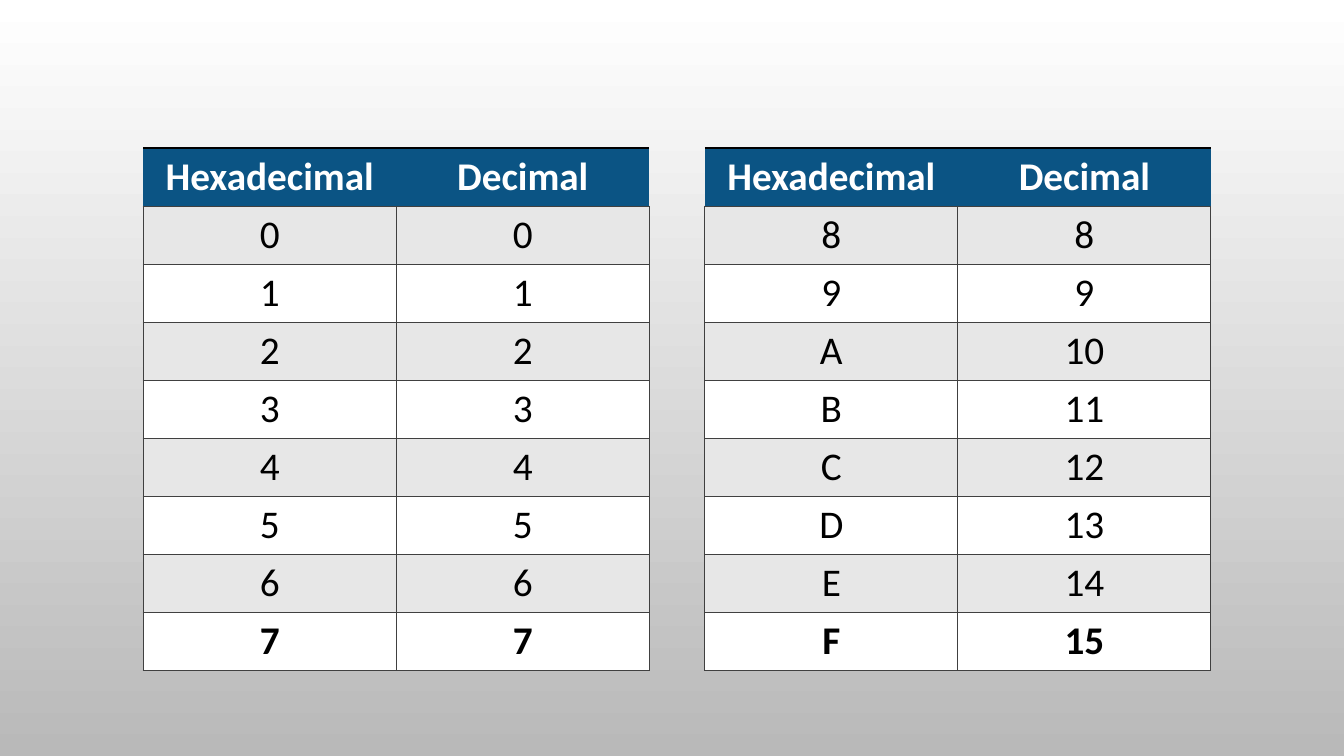
from dataclasses import dataclass

from lxml import etree
from pptx import Presentation
from pptx import util as u
from pptx.dml import color
from pptx.enum import text
from pptx.oxml import ns
from pptx.slide import Slide
from pptx.table import _Cell

COLORS = {
    "header": "0B5484",
    "header_text": "FFFFFF",
    "header_top": "000000",
    "body_text": "000000",
    "border": "404040",
    "band_odd": "E7E7E7",
    "band_even": "FFFFFF",
    "background_top": "FFFFFF",
    "background_bottom": "B9B9B9",
}
HEADINGS = ("Hexadecimal", "Decimal")
TABLE_TOP = 1.47
COLUMN_WIDTH = 2.51
ROW_HEIGHT = 0.57


@dataclass(frozen=True)
class ConversionTable:
    left: float
    values: range

    def rows(self) -> list[tuple[str, str]]:
        return [HEADINGS] + [(f"{value:X}", str(value)) for value in self.values]


@dataclass(frozen=True)
class Border:
    side: str
    color: str = "border"
    points: float = 1
    visible: bool = True


HEADER_BORDERS = (
    Border("L", visible=False),
    Border("R", visible=False),
    Border("T", "header_top", 2),
    Border("B"),
)
BODY_BORDERS = tuple(Border(side) for side in "LRTB")
TABLES = (
    ConversionTable(6.99, range(8, 16)),
    ConversionTable(1.42, range(8)),
)


def rgb(name: str) -> color.RGBColor:
    return color.RGBColor.from_string(COLORS[name])


def add_border(cell: _Cell, border: Border) -> None:
    properties = cell._tc.get_or_add_tcPr()
    line = etree.SubElement(properties, ns.qn(f"a:ln{border.side}"))
    line.set("w", str(u.Pt(border.points)))
    if border.visible:
        fill = etree.SubElement(line, ns.qn("a:solidFill"))
        etree.SubElement(fill, ns.qn("a:srgbClr")).set("val", COLORS[border.color])
    else:
        etree.SubElement(line, ns.qn("a:noFill"))


def format_cell(cell: _Cell, label: str, fill: str, font_color: str,
                bold: bool, borders: tuple[Border, ...]) -> None:
    # Borders come before the fill in the cell properties
    for border in borders:
        add_border(cell, border)
    cell.fill.solid()
    cell.fill.fore_color.rgb = rgb(fill)
    cell.vertical_anchor = text.MSO_ANCHOR.MIDDLE
    paragraph = cell.text_frame.paragraphs[0]
    paragraph.alignment = text.PP_ALIGN.CENTER
    run = paragraph.add_run()
    run.text = label
    run.font.name = "Calibri"
    run.font.size = u.Pt(28)
    run.font.bold = bold
    run.font.color.rgb = rgb(font_color)


def add_conversion_table(slide: Slide, conversion: ConversionTable) -> None:
    rows = conversion.rows()
    table = slide.shapes.add_table(
        len(rows), len(HEADINGS), u.Inches(conversion.left), u.Inches(TABLE_TOP),
        u.Inches(COLUMN_WIDTH * len(HEADINGS)), u.Inches(ROW_HEIGHT * len(rows)),
    ).table
    table.last_row = True
    for column in table.columns:
        column.width = u.Inches(COLUMN_WIDTH)
    for row_index, labels in enumerate(rows):
        table.rows[row_index].height = u.Inches(ROW_HEIGHT)
        is_header = row_index == 0
        band = "band_odd" if row_index % 2 else "band_even"
        for column_index, label in enumerate(labels):
            format_cell(
                table.cell(row_index, column_index),
                label,
                fill="header" if is_header else band,
                font_color="header_text" if is_header else "body_text",
                bold=row_index in (0, len(rows) - 1),
                borders=HEADER_BORDERS if is_header else BODY_BORDERS,
            )


def set_background(slide: Slide) -> None:
    fill = slide.background.fill
    fill.gradient()
    fill.gradient_angle = 270
    names = ("background_top", "background_bottom")
    for position, (stop, name) in enumerate(zip(fill.gradient_stops, names)):
        stop.position = position
        stop.color.rgb = rgb(name)


def main() -> None:
    presentation = Presentation()
    presentation.slide_width = u.Inches(13.33)
    presentation.slide_height = u.Inches(7.5)
    slide = presentation.slides.add_slide(presentation.slide_layouts[6])

    # Backdrop
    set_background(slide)

    # Hexadecimal digits beside their decimal values
    for conversion in TABLES:
        add_conversion_table(slide, conversion)

    presentation.save("out.pptx")


if __name__ == "__main__":
    main()
